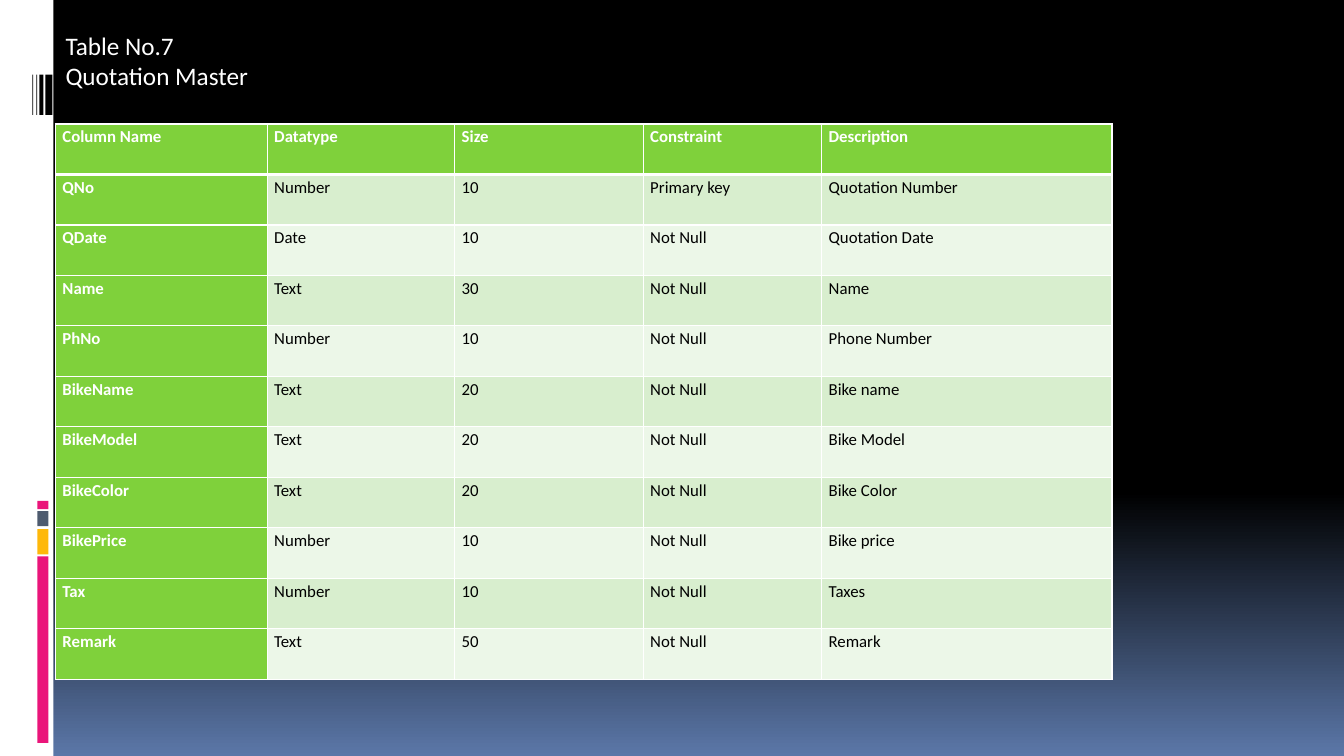
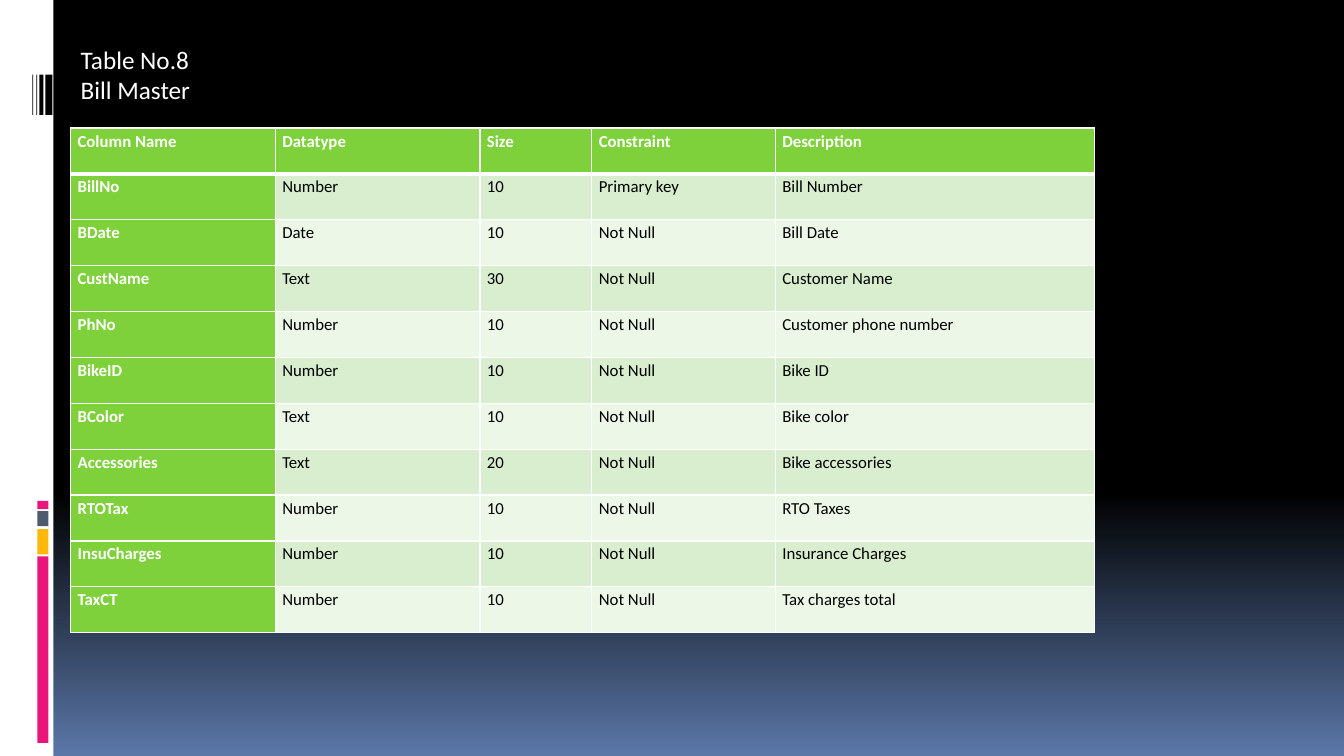
from dataclasses import dataclass
from itertools import product

from pptx import Presentation
from pptx.dml.color import RGBColor
from pptx.enum.shapes import MSO_SHAPE as Shape
from pptx.enum.text import MSO_ANCHOR as Anchor, MSO_AUTO_SIZE as Fit, PP_ALIGN as Align
from pptx.oxml import parse_xml
from pptx.oxml.ns import nsdecls
from pptx.slide import Slide, SlideLayout
from pptx.table import _Cell as Cell
from pptx.text.text import _Paragraph as Para
from pptx.util import Inches, Pt

WHITE = RGBColor(0xFF, 0xFF, 0xFF)
BLACK = RGBColor(0x00, 0x00, 0x00)
BLUE = RGBColor(0x5B, 0x77, 0xA8)
PINK = RGBColor(0xEA, 0x15, 0x7A)
GOLD = RGBColor(0xFE, 0xB8, 0x0A)
SLATE = RGBColor(0x4E, 0x5B, 0x6F)
GREEN = RGBColor(0x7F, 0xD1, 0x3B)
MINT = RGBColor(0xD8, 0xEE, 0xCE)
PALE = RGBColor(0xEC, 0xF7, 0xE8)
FONT = "Calibri"
HEADS = ("Column Name", "Datatype", "Size", "Constraint", "Description")


@dataclass(frozen=True)
class Bar:
    left: float
    top: float
    width: float
    height: float
    color: RGBColor


@dataclass(frozen=True)
class Page:
    title: tuple[str, str]
    left: float
    top: float
    width: float
    grid_top: float
    grid_height: float
    cols: tuple[float, ...]
    rows: tuple[tuple[str, ...], ...]


BARS = (
    Bar(0, 0, 0.53, 7.5, WHITE),
    *(Bar(0.37, top, 0.11, height, color) for top, height, color in (
        (5.52, 1.85, PINK), (5.25, 0.25, GOLD), (5.07, 0.15, SLATE), (4.97, 0.08, PINK))),
    *(Bar(left, 0.74, width, 0.4, BLACK) for left, width in (
        (0.45, 0.07), (0.39, 0.04), (0.36, 0.01), (0.32, 0.01))),
)

PAGES = (
    Page(
        ("Table No.7", "Quotation Master"), 0.55, 0.25, 2.14, 1.23, 5.51,
        (2.1, 1.86, 1.87, 1.77, 2.88),
        (
            ("QNo", "Number", "10", "Primary key", "Quotation Number"),
            ("QDate", "Date", "10", "Not Null", "Quotation Date"),
            ("Name", "Text", "30", "Not Null", "Name"),
            ("PhNo", "Number", "10", "Not Null", "Phone Number"),
            ("BikeName", "Text", "20", "Not Null", "Bike name"),
            ("BikeModel", "Text", "20", "Not Null", "Bike Model"),
            ("BikeColor", "Text", "20", "Not Null", "Bike Color"),
            ("BikePrice", "Number", "10", "Not Null", "Bike price"),
            ("Tax", "Number", "10", "Not Null", "Taxes"),
            ("Remark", "Text", "50", "Not Null", "Remark"),
        ),
    ),
    Page(
        ("Table No.8", "Bill Master"), 0.7, 0.39, 2.51, 1.27, 5.01,
        (2.03, 2.03, 1.11, 1.82, 3.17),
        (
            ("BillNo", "Number", "10", "Primary key", "Bill Number"),
            ("BDate", "Date", "10", "Not Null", "Bill Date"),
            ("CustName", "Text", "30", "Not Null", "Customer Name"),
            ("PhNo", "Number", "10", "Not Null", "Customer phone number"),
            ("BikeID", "Number", "10", "Not Null", "Bike ID"),
            ("BColor", "Text", "10", "Not Null", "Bike color"),
            ("Accessories", "Text", "20", "Not Null", "Bike accessories"),
            ("RTOTax", "Number", "10", "Not Null", "RTO Taxes"),
            ("InsuCharges", "Number", "10", "Not Null", "Insurance Charges"),
            ("TaxCT", "Number", "10", "Not Null", "Tax charges total"),
        ),
    ),
)


def add_run(para: Para, text: str, size: int, color: RGBColor, bold: bool = False) -> None:
    run = para.add_run()
    run.text = text
    run.font.name = FONT
    run.font.size = Pt(size)
    run.font.bold = bold
    run.font.color.rgb = color


def dress(layout: SlideLayout, slide: Slide) -> None:
    fill = layout.background.fill
    fill.gradient()
    fill.gradient_angle = 270
    for stop, (place, color) in zip(fill.gradient_stops, ((0.65, BLACK), (1, BLUE))):
        stop.position = place
        stop.color.rgb = color
    for index, bar in enumerate(BARS, 100):
        item = slide.shapes.add_shape(
            Shape.RECTANGLE, Inches(bar.left), Inches(bar.top), Inches(bar.width), Inches(bar.height))
        item.shadow.inherit = False
        item.fill.solid()
        item.fill.fore_color.rgb = bar.color
        item.line.fill.background()
        item.element.nvSpPr.cNvPr.set("id", str(index))
        layout.shapes.element.append(item.element)


def add_title(slide: Slide, page: Page) -> None:
    title = slide.shapes.title
    title.left, title.top = Inches(page.left), Inches(page.top)
    title.width, title.height = Inches(page.width), Inches(0.71)
    frame = title.text_frame
    frame.word_wrap = True
    frame.auto_size = Fit.NONE
    frame.vertical_anchor = Anchor.TOP
    for index, text in enumerate(page.title):
        para = frame.add_paragraph() if index else frame.paragraphs[0]
        para.alignment = Align.LEFT
        add_run(para, text, 18, WHITE)


def edge(cell: Cell, top: int, base: int) -> None:
    props = cell._tc.get_or_add_tcPr()
    for side, width in zip("LRTB", (1, 1, top, base)):
        props.append(parse_xml(
            f'<a:ln{side} {nsdecls("a")} w="{Pt(width)}"><a:solidFill>'
            f'<a:srgbClr val="{WHITE}"/></a:solidFill></a:ln{side}>'))


def add_grid(slide: Slide, page: Page) -> None:
    lines = (HEADS, *page.rows)
    table = slide.shapes.add_table(
        len(lines), len(HEADS), Inches(page.left), Inches(page.grid_top),
        Inches(sum(page.cols)), Inches(page.grid_height)).table
    table.first_col = True
    for col, width in zip(table.columns, page.cols):
        col.width = Inches(width)
    for row, col in product(range(len(lines)), range(len(HEADS))):
        cell = table.cell(row, col)
        head = row == 0 or col == 0
        edge(cell, 3 if row == 1 else 1, 3 if row == 0 else 1)
        cell.fill.solid()
        cell.fill.fore_color.rgb = GREEN if head else MINT if row % 2 else PALE
        cell.margin_left = cell.margin_right = Inches(0.07)
        cell.margin_top = cell.margin_bottom = 0
        para = cell.text_frame.paragraphs[0]
        para.line_spacing = 1.15
        add_run(para, lines[row][col], 12, WHITE if head else BLACK, head)


def main() -> None:
    deck = Presentation()
    deck.slide_width, deck.slide_height = Inches(13.33), Inches(7.5)
    layout = deck.slide_layouts[5]
    slides = [deck.slides.add_slide(layout) for _ in PAGES]
    dress(layout, slides[0])
    for slide, page in zip(slides, PAGES):
        add_grid(slide, page)
        add_title(slide, page)
    deck.save("out.pptx")


if __name__ == "__main__":
    main()
